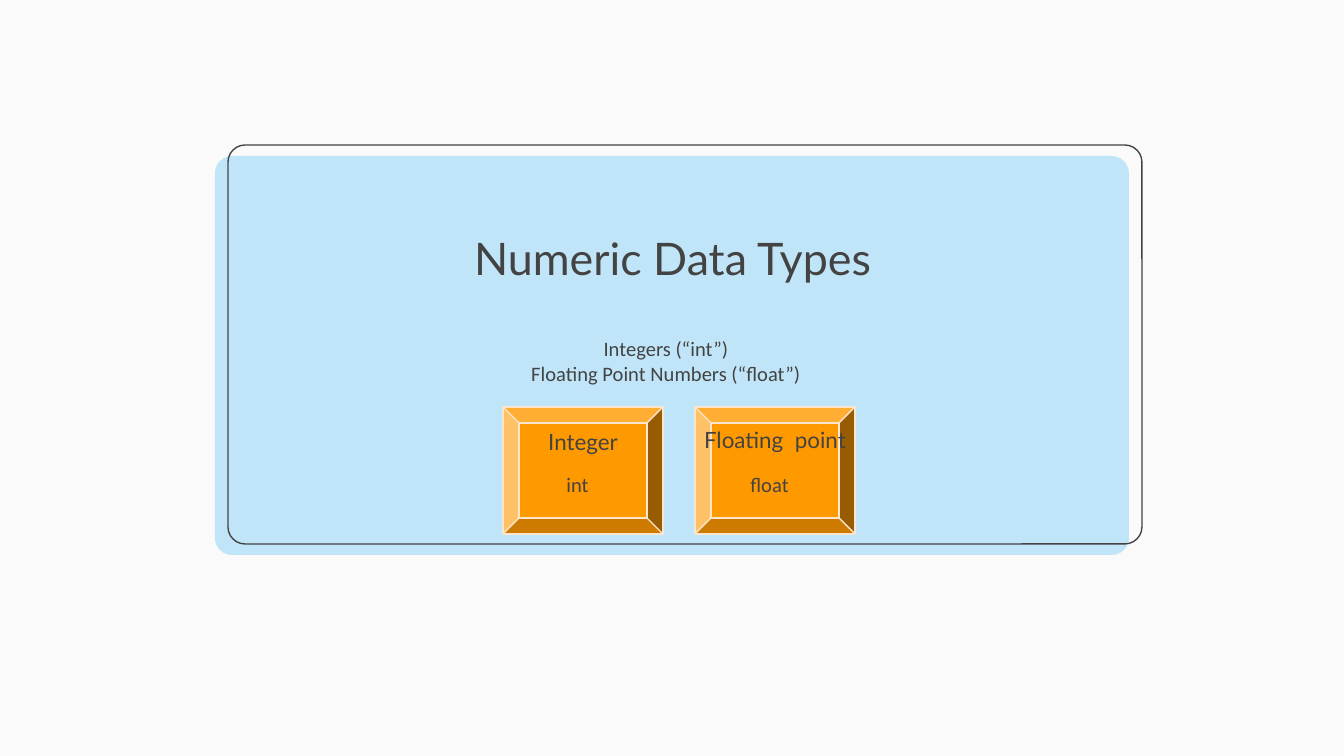
from dataclasses import dataclass

from pptx import Presentation
from pptx.dml.color import RGBColor
from pptx.enum import shapes, text
from pptx import util as u

PX = 914400 / 134.4
INK = "434343"
PAPER = "FAFAFA"
SKY = "C1E5F8"
ORANGE = "FF9900"
PEACH = "FCE5CD"
INSET = 13


@dataclass(frozen=True)
class Box:
    x: int
    y: int
    w: int
    h: int

    def emu(self) -> list[u.Emu]:
        return [px(v) for v in (self.x, self.y, self.w, self.h)]


@dataclass(frozen=True)
class Run:
    words: str
    size: int


@dataclass(frozen=True)
class TypeCard:
    bevel: Box
    name_box: Box
    name: tuple[Run, ...]
    keyword_box: Box
    keyword: str


def px(value: float) -> u.Emu:
    return u.Emu(round(value * PX))


def rgb(color: str) -> RGBColor:
    return RGBColor.from_string(color)


def add_panel(slide, kind, box: Box, adjust: float,
              fill: str | None = None, line: str | None = None) -> None:
    sp = slide.shapes.add_shape(kind, *box.emu())
    sp.shadow.inherit = False
    sp.adjustments[0] = adjust
    if fill:
        sp.fill.solid()
        sp.fill.fore_color.rgb = rgb(fill)
    else:
        sp.fill.background()
    if line:
        sp.line.color.rgb = rgb(line)
        sp.line.width = u.Pt(0.75)
    else:
        sp.line.fill.background()


def add_text(slide, box: Box, lines: list[tuple[Run, ...]], font: str,
             anchor=text.MSO_ANCHOR.TOP, left: int = INSET) -> None:
    tf = slide.shapes.add_textbox(*box.emu()).text_frame
    tf.word_wrap = True
    tf.vertical_anchor = anchor
    tf.margin_left = px(left)
    tf.margin_top = tf.margin_right = tf.margin_bottom = px(INSET)
    for i, line in enumerate(lines):
        p = tf.add_paragraph() if i else tf.paragraphs[0]
        p.alignment = text.PP_ALIGN.CENTER
        for run in line:
            r = p.add_run()
            r.text = run.words
            r.font.name = font
            r.font.size = u.Pt(run.size)
            r.font.color.rgb = rgb(INK)


def add_body(slide, box: Box, lines: list[str]) -> None:
    """Small centred text, set slightly left of the middle of its box."""
    add_text(slide, box, [(Run(line, 11),) for line in lines], "Calibri", left=3)


def add_card(slide, card: TypeCard) -> None:
    add_panel(slide, shapes.MSO_SHAPE.BEVEL, card.bevel, 0.125, ORANGE, PEACH)
    add_text(slide, card.name_box, [card.name], "Lato")
    add_body(slide, card.keyword_box, [card.keyword])


CARDS = [
    TypeCard(Box(503, 407, 160, 127), Box(448, 415, 270, 59),
             (Run("Integer", 12),), Box(543, 460, 79, 51), "int"),
    TypeCard(Box(695, 407, 160, 127), Box(673, 391, 204, 86),
             (Run("Floating", 12), Run(" ", 24), Run("point", 12)),
             Box(735, 460, 79, 51), "float"),
]


def main() -> None:
    prs = Presentation()
    prs.slide_width, prs.slide_height = px(1344), px(756)
    s = prs.slides.add_slide(prs.slide_layouts[6])
    s.background.fill.solid()
    s.background.fill.fore_color.rgb = rgb(PAPER)

    rounded = shapes.MSO_SHAPE.ROUNDED_RECTANGLE
    add_panel(s, rounded, Box(215, 156, 914, 399), 0.043, fill=SKY)
    add_panel(s, rounded, Box(228, 145, 914, 399), 0.043, line=INK)
    add_text(s, Box(329, 242, 687, 56), [(Run("Numeric Data Types", 24),)],
             "Lato", text.MSO_ANCHOR.BOTTOM)
    add_body(s, Box(376, 323, 590, 192),
             ["Integers (“int”)", "Floating Point Numbers (“float”)"])
    for card in CARDS:
        add_card(s, card)
    prs.save("out.pptx")


if __name__ == "__main__":
    main()
